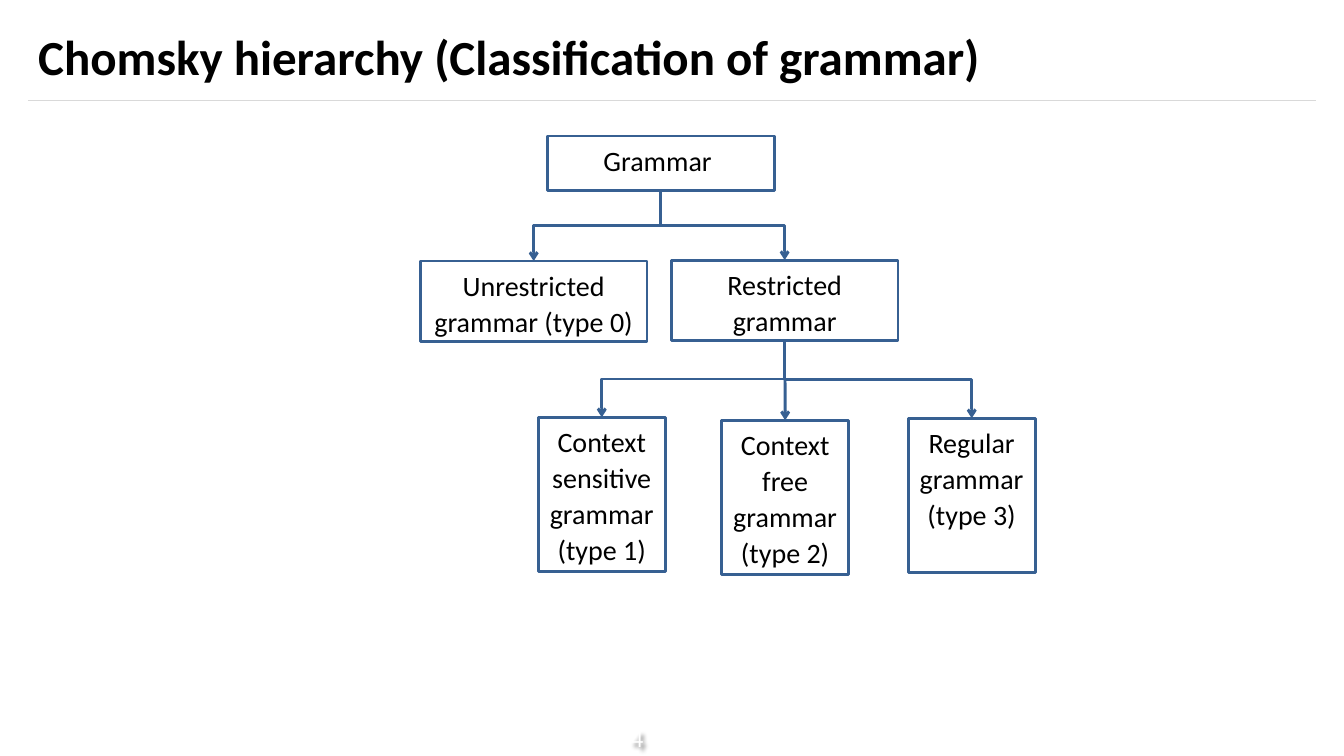
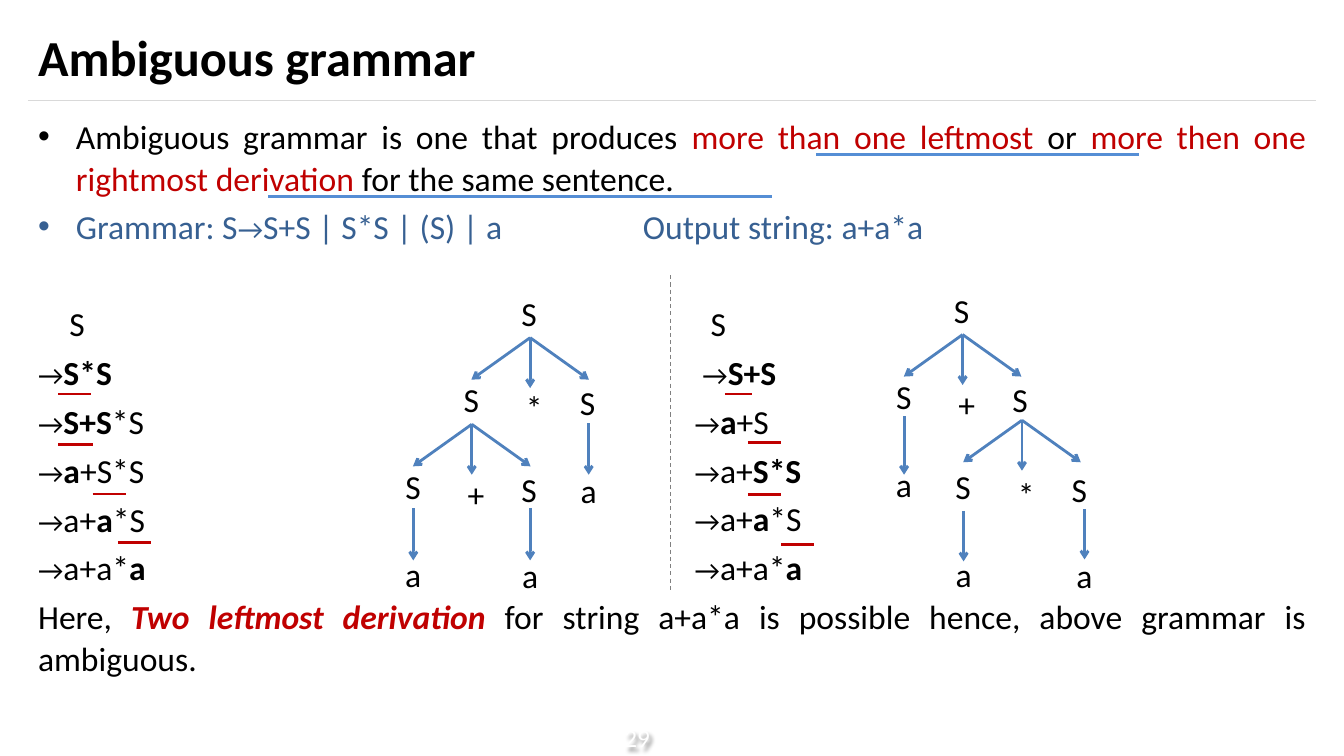
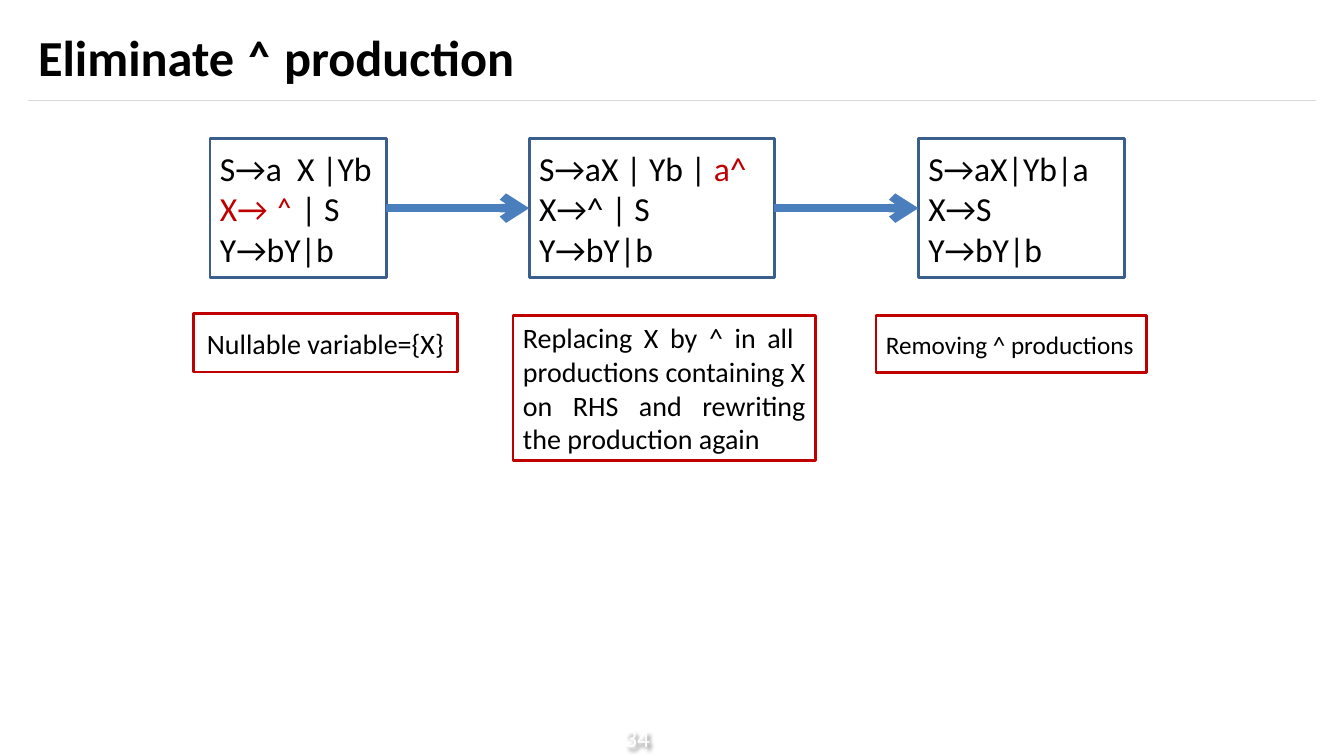
from dataclasses import dataclass
from typing import Any, NamedTuple, Optional

from lxml.etree import SubElement
from pptx import Presentation
from pptx.dml.color import RGBColor
from pptx.enum.dml import MSO_LINE
from pptx.enum.shapes import MSO_CONNECTOR as Link, MSO_SHAPE as Preset
from pptx.enum.text import MSO_ANCHOR as Anchor, MSO_AUTO_SIZE as AutoSize, PP_ALIGN as Align
from pptx.oxml.ns import qn
from pptx.util import Pt


# Theme
@dataclass(frozen=True)
class Theme:
    font: str = "Calibri"
    ink: str = "000000"
    paper: str = "FFFFFF"
    red: str = "C00000"
    navy: str = "376092"
    steel: str = "3A5F8C"
    tree: str = "4F81BD"
    flow: str = "4B7EBC"
    underline: str = "558ED5"
    divider: str = "808080"
    rule: str = "D9D9D9"
    title: float = 36
    body: float = 24
    label: float = 20
    small: float = 18
    stroke: float = 2
    hairline: float = 0.75


THEME = Theme()
TITLE_LAYOUT, BODY_LAYOUT = 5, 1
TOP, LEFT, BOTTOM, RIGHT = range(4)


# Content records
class Area(NamedTuple):
    x: float
    y: float
    w: float
    h: float


@dataclass(frozen=True)
class Span:
    text: str
    color: str = THEME.ink
    size: Optional[float] = None
    bold: bool = False
    italic: bool = False


@dataclass(frozen=True)
class Para:
    spans: tuple[Span, ...]
    align: Align = Align.LEFT
    spacing: float = 1.0
    before: float = 0
    margin: float = 0
    first: float = 0
    bullet: bool = False
    tab: Optional[float] = None


class Stroke(NamedTuple):
    x1: float
    y1: float
    x2: float
    y2: float


class Fan(NamedTuple):
    """One parent with three children; x and y are the apex of the arrows."""
    x: float
    y: float
    children: str
    drop: float = 0


class Leaf(NamedTuple):
    x: float
    top: float
    bottom: float
    label_top: float


@dataclass(frozen=True)
class Tree:
    fans: tuple[Fan, ...]
    leaves: tuple[Leaf, ...]


TITLE_AREA = Area(20, 8.6, 920, 63.4)
BODY_AREA = Area(20, 77.8, 920, 420)
SECOND_AREA = Area(496.2, 215.4, 110, 210)
NUMBER_AREA = Area(422, 512.6, 66.2, 28.8)


# Drawing helpers
def apply(target: Any, values: dict[str, Any]) -> None:
    for name, value in values.items():
        setattr(target, name, value)


def place(shape: Any, area: Area) -> None:
    apply(shape, dict(zip(("left", "top", "width", "height"), map(Pt, area))))


def add_span(para: Any, part: Span, size: float) -> None:
    for index, text in enumerate(part.text.split("\n")):
        if index:
            para.add_line_break()
        span = para.add_run()
        span.text = text
        apply(span.font, {"name": THEME.font, "size": Pt(part.size or size),
                          "bold": part.bold, "italic": part.italic})
        span.font.color.rgb = RGBColor.from_string(part.color)


def write(frame: Any, paras: list[Para], size: float, anchor: Anchor = Anchor.MIDDLE) -> None:
    apply(frame, {"word_wrap": True, "auto_size": AutoSize.NONE, "vertical_anchor": anchor})
    for index, item in enumerate(paras):
        para = frame.add_paragraph() if index else frame.paragraphs[0]
        apply(para, {"alignment": item.align, "line_spacing": item.spacing,
                     "space_before": Pt(item.before), "space_after": Pt(0)})
        props = para._p.get_or_add_pPr()
        props.set("marL", str(Pt(item.margin)))
        props.set("indent", str(Pt(item.first)))
        if item.bullet:
            SubElement(props, qn("a:buChar")).set("char", "•")
        else:
            SubElement(props, qn("a:buNone"))
        if item.tab is not None:
            stop = SubElement(SubElement(props, qn("a:tabLst")), qn("a:tab"))
            stop.set("pos", str(Pt(item.tab)))
            stop.set("algn", "l")
        for part in item.spans:
            add_span(para, part, size)


def add_text(page: Any, area: Area, paras: list[Para], size: float,
             anchor: Anchor = Anchor.MIDDLE) -> Any:
    box = page.shapes.add_textbox(*map(Pt, area))
    apply(box.text_frame, dict.fromkeys(
        ("margin_left", "margin_right", "margin_top", "margin_bottom"), Pt(0)))
    write(box.text_frame, paras, size, anchor)
    return box


def add_box(page: Any, area: Area, paras: list[Para], color: str, size: float,
            anchor: Anchor = Anchor.MIDDLE) -> Any:
    box = page.shapes.add_shape(Preset.RECTANGLE, *map(Pt, area))
    box.shadow.inherit = False
    box.fill.background()
    box.line.color.rgb = RGBColor.from_string(color)
    box.line.width = Pt(THEME.stroke)
    write(box.text_frame, paras, size, anchor)
    return box


def add_line(page: Any, stroke: Stroke, color: str, width: float = THEME.stroke,
             arrow: bool = False, kind: Link = Link.STRAIGHT) -> Any:
    line = page.shapes.add_connector(kind, *map(Pt, stroke))
    line.line.color.rgb = RGBColor.from_string(color)
    line.line.width = Pt(width)
    if arrow:
        SubElement(line.line._get_or_add_ln(), qn("a:tailEnd")).set("type", "arrow")
    SubElement(line._element.spPr, qn("a:effectLst"))
    return line


def join(page: Any, start: Any, start_side: int, end: Any, end_side: int, color: str,
         width: float = THEME.stroke, kind: Link = Link.STRAIGHT) -> Any:
    line = add_line(page, Stroke(0, 0, 0, 0), color, width, True, kind)
    line.begin_connect(start, start_side)
    line.end_connect(end, end_side)
    return line


def add_branch(page: Any, parent: Any, child: Any) -> None:
    """Elbow that leaves the parent downwards and enters the child from above."""
    line = join(page, parent, BOTTOM, child, TOP, THEME.navy, kind=Link.ELBOW)
    x1, y1, x2, y2 = line.begin_x, line.begin_y, line.end_x, line.end_y
    run, rise = abs(x2 - x1), abs(y2 - y1)
    frame = line._element.spPr.get_or_add_xfrm()
    for name in ("flipH", "flipV"):
        frame.attrib.pop(name, None)
    apply(line, {"left": (x1 + x2 - rise) // 2, "top": (y1 + y2 - run) // 2,
                 "width": rise, "height": run})
    frame.set("rot", str((90 if x2 < x1 else 270) * 60000))
    if x2 > x1:
        frame.set("flipH", "1")


def add_shadow(box: Any) -> None:
    effects = SubElement(box._element.spPr, qn("a:effectLst"))
    shadow = SubElement(effects, qn("a:outerShdw"))
    for name, value in {"blurRad": Pt(3), "dist": Pt(3), "dir": 2700000}.items():
        shadow.set(name, str(value))
    tint = SubElement(shadow, qn("a:srgbClr"))
    tint.set("val", THEME.ink)
    SubElement(tint, qn("a:alpha")).set("val", "43000")


def add_page(deck: Any, title: str, number: int, layout: int = TITLE_LAYOUT,
             size: float = THEME.title) -> Any:
    page = deck.slides.add_slide(deck.slide_layouts[layout])
    add_line(page, Stroke(20, 72, 940, 72), THEME.rule, THEME.hairline)
    box = add_text(page, NUMBER_AREA,
                   [Para((Span(str(number), THEME.paper),), Align.CENTER)], THEME.small)
    add_shadow(box)
    place(page.shapes.title, TITLE_AREA)
    write(page.shapes.title.text_frame, [Para((Span(title, bold=True),))], size)
    return page


# Slide: hierarchy
def hierarchy_slide(deck: Any) -> None:
    page = add_page(deck, "Chomsky hierarchy (Classification of grammar)", 4, size=35)

    def node(text: str, area: Area) -> Any:
        para = Para((Span(text),), Align.CENTER, spacing=1.07)
        return add_box(page, area, [para], THEME.navy, THEME.label, Anchor.TOP)

    restricted = node("Restricted grammar", Area(479.5, 185.8, 162, 57.6))
    regular = node("Regular grammar\n(type 3)", Area(648.7, 298.8, 90.7, 110.2))
    free = node("Context free grammar\n(type 2)", Area(515.5, 300.2, 90.7, 110.2))
    sensitive = node("Context sensitive grammar (type 1)", Area(384.5, 298.1, 90.7, 110.2))
    unrestricted = node("Unrestricted grammar (type 0)", Area(300.2, 186.5, 162, 57.6))
    grammar = node("Grammar ", Area(391, 97.2, 162, 38.9))

    for parent, child in ((restricted, regular), (restricted, sensitive),
                          (grammar, unrestricted), (grammar, restricted)):
        add_branch(page, parent, child)
    middle = add_line(page, Stroke(560.8, 270.7, 560.8, 300.2), THEME.navy, arrow=True)
    middle.end_connect(free, TOP)


# Slide: ambiguity
ARROW = Span("→", size=20)
TREES = (
    Tree((Fan(378.7, 241.2, "S*S"), Fan(337, 303.1, "S+S")),
         (Leaf(295.2, 363, 400.3, 395.3), Leaf(378.7, 363, 400.3, 395.6),
          Leaf(420.5, 302.4, 339.1, 334.8))),
    Tree((Fan(687.6, 239, "S+S"), Fan(730, 300.2, "S*S", drop=3)),
         (Leaf(645.8, 297.4, 339.1, 330.5), Leaf(688.3, 365, 401, 395.3),
          Leaf(774.7, 363.6, 399.6, 396))),
)
RED_MARKS = (
    Stroke(41.8, 281.5, 64.8, 281.5), Stroke(517.7, 281.5, 537.1, 281.5),
    Stroke(41.8, 317.5, 66.2, 317.5), Stroke(66.2, 352.8, 90, 352.8),
    Stroke(84.2, 387.4, 108, 387.4), Stroke(534.2, 316.1, 558, 316.1),
    Stroke(534.2, 353.5, 558, 353.5), Stroke(558, 388.8, 581.8, 388.8),
)
BLUE_MARKS = (Stroke(583.2, 110.2, 813.6, 110.2), Stroke(191.5, 140.4, 551.5, 140.4))


def strong(text: str) -> Span:
    return Span(text, bold=True)


def body_para(*spans: Span, **layout: Any) -> Para:
    return Para(spans, **{"align": Align.JUSTIFY, "spacing": 1.04, "before": 4.9, **layout})


def step(*spans: Span, first: float = 0) -> Para:
    return body_para(ARROW, *spans, first=first)


def ambiguity_text() -> list[Para]:
    bullet = {"margin": 27, "first": -27, "bullet": True}
    return [
        body_para(Span("Ambiguous grammar is one that produces "),
                  Span("more than one leftmost ", THEME.red), Span("or"),
                  Span(" more then one rightmost derivation ", THEME.red),
                  Span("for the same sentence."), **bullet),
        body_para(Span("Grammar: S", THEME.navy), Span("→", THEME.navy, 20),
                  Span("S+S | S*S | (S) | a\tOutput string: a+a*a", THEME.navy),
                  tab=432, **bullet),
        body_para(Span("S"), before=39.4, first=22.3),
        step(strong("S*S")),
        step(strong("S+S"), Span("*S")),
        step(strong("a"), Span("+S*S")),
        step(Span("a+"), strong("a"), Span("*S")),
        step(Span("a+a*"), strong("a")),
        body_para(Span("Here, "),
                  Span("Two leftmost derivation ", THEME.red, bold=True, italic=True),
                  Span("for string a+a*a is possible hence, above grammar is ambiguous.")),
    ]


def second_derivation() -> list[Para]:
    return [
        body_para(Span("S"), before=0, first=11.4),
        step(strong("S+S"), first=5.5),
        step(strong("a"), Span("+S")),
        step(Span("a+"), strong("S*S")),
        step(Span("a+"), strong("a"), Span("*S")),
        step(Span("a+a*"), strong("a")),
    ]


def add_symbol(page: Any, text: str, center: float, top: float) -> None:
    add_text(page, Area(center - 18, top, 36, 30),
             [Para((Span(text),), Align.CENTER)], THEME.body)


def add_tree(page: Any, tree: Tree) -> None:
    root = tree.fans[0]
    add_symbol(page, "S", root.x - 0.7, root.y - 32.6)
    for fan in tree.fans:
        for dx, dy in ((-42, 30), (42, 30), (0, 36)):
            add_line(page, Stroke(fan.x, fan.y, fan.x + dx, fan.y + dy), THEME.tree, arrow=True)
        for text, dx, dy in zip(fan.children, (-42, 3, 41), (29, 34.5, 31)):
            add_symbol(page, text, fan.x + dx, fan.y + dy + fan.drop)
    for leaf in tree.leaves:
        add_line(page, Stroke(leaf.x, leaf.top, leaf.x, leaf.bottom), THEME.tree, arrow=True)
        add_symbol(page, "a", leaf.x, leaf.label_top)


def ambiguity_slide(deck: Any) -> None:
    page = add_page(deck, "Ambiguous grammar", 29, BODY_LAYOUT)
    body = page.placeholders[1]
    place(body, BODY_AREA)
    write(body.text_frame, ambiguity_text(), THEME.body, Anchor.TOP)
    add_text(page, SECOND_AREA, second_derivation(), THEME.body, Anchor.TOP)
    for color, marks in ((THEME.red, RED_MARKS), (THEME.underline, BLUE_MARKS)):
        for mark in marks:
            add_line(page, mark, color)
    divider = add_line(page, Stroke(478.8, 196.6, 478.8, 422.6), THEME.divider, THEME.hairline)
    divider.line.dash_style = MSO_LINE.DASH
    for tree in TREES:
        add_tree(page, tree)


# Slide: elimination
def elimination_slide(deck: Any) -> None:
    page = add_page(deck, "Eliminate ˄ production", 34)
    last = Para((Span("Y→bY|b"),))
    stages = (
        (150, 126, (Span("S→a  X |Yb"),), (Span("X→ ˄ ", THEME.red), Span("| S"))),
        (378, 175, (Span("S→aX | Yb | "), Span("a^", THEME.red)), (Span("X→^ | S"),)),
        (656, 147, (Span("S→aX|Yb|a"),), (Span("X→S"),)),
    )
    boxes = [add_box(page, Area(x, 99, width, 99.4), [Para(first), Para(second), last],
                     THEME.steel, THEME.body)
             for x, width, first, second in stages]
    notes = (
        ("Nullable variable={X}", Area(138.2, 224, 188.6, 41.8), Align.CENTER, THEME.label),
        ("Replacing X by ^ in all  productions containing X on RHS and rewriting "
         "the production again", Area(366.5, 225.4, 216, 103.7), Align.JUSTIFY, THEME.label),
        ("Removing ^ productions", Area(625.7, 225.4, 193, 41), Align.JUSTIFY, THEME.small),
    )
    for text, area, align, size in notes:
        add_box(page, area, [Para((Span(text),), align)], THEME.red, size)
    for start, end in zip(boxes, boxes[1:]):
        join(page, start, RIGHT, end, LEFT, THEME.flow, width=6)


def main() -> None:
    deck = Presentation()
    apply(deck, {"slide_width": Pt(960), "slide_height": Pt(540)})
    for build in (hierarchy_slide, ambiguity_slide, elimination_slide):
        build(deck)
    deck.save("out.pptx")


if __name__ == "__main__":
    main()
